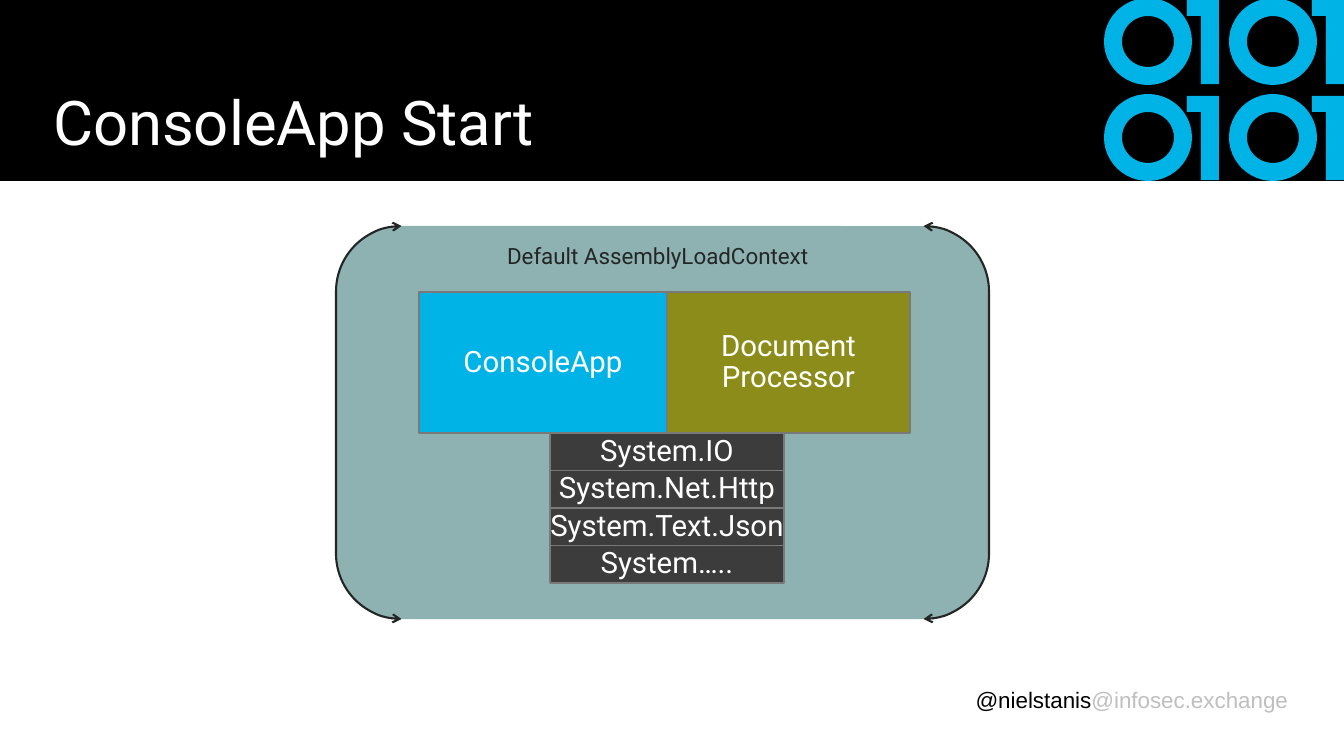
from lxml import etree
from pptx import Presentation
from pptx.dml.color import RGBColor
from pptx.enum.shapes import MSO_SHAPE as Preset
from pptx.enum.text import MSO_ANCHOR as Anchor, PP_ALIGN as Align
from pptx.oxml.ns import qn
from pptx.util import Pt

PX = 12192000 / 1344  # EMU per px
SLIDE_SIZE = (1344, 756)

COLORS = {
    "black": "000000", "white": "FFFFFF", "ink": "242626", "muted": "BFBFBF",
    "cyan": "00B3E6", "teal": "8EB2B2", "olive": "8B8C1A",
    "charcoal": "3C3C3C", "edge": "797979",
}

# Content: runs are (text, font, color); boxes are left, top, width, height
TITLE = [("ConsoleApp Start", "Roboto", "white")]
CONTEXT_LABEL = [("Default AssemblyLoadContext", "Roboto", "ink")]
HANDLE = [("@nielstanis", "Arial", "black"),
          ("@infosec.exchange", "Arial", "muted")]
ASSEMBLIES = [("ConsoleApp", "cyan", 248), ("Document\nProcessor", "olive", 243)]
LIBRARIES = ["System.IO", "System.Net.Http", "System.Text.Json", "System….."]

HEADER = (0, 0, 1344, 181)
CONTEXT = (336, 226, 653, 393)
ASSEMBLY_LEFT, ASSEMBLY_TOP, ASSEMBLY_HEIGHT = 419, 292, 141
LIBRARY_LEFT, LIBRARY_WIDTH, LIBRARY_HEIGHT = 550, 234, 37.5

# Binary digits in the header
DIGIT_COLUMNS, DIGIT_ROWS = (1104, 1229), (-2, 94)
ZERO_WIDTH, ZERO_HEIGHT, STROKE = 88, 87, 18
ONE_OUTLINE = [(83, 2), (115, 2), (115, 86), (97, 86), (97, 18), (83, 18)]


def emu(*lengths):
    return [round(length * PX) for length in lengths]


def rgb(name):
    return RGBColor.from_string(COLORS[name])


def paint(shape, fill, line=None, width=1):
    shape.shadow.inherit = False
    shape.fill.solid()
    shape.fill.fore_color.rgb = rgb(fill)
    if line:
        shape.line.color.rgb = rgb(line)
        shape.line.width = Pt(width)
    else:
        shape.line.fill.background()
    return shape


def add_preset(preset, box, fill, line=None, width=1):
    shape = slide.shapes.add_shape(preset, *emu(*box))
    return paint(shape, fill, line, width)


def write_text(shape, runs, size, anchor=Anchor.MIDDLE, align=Align.LEFT,
               spacing=0.95, insets=(10, 5, 10, 5), wrap=True):
    frame = shape.text_frame
    frame.word_wrap = wrap
    frame.vertical_anchor = anchor
    (frame.margin_left, frame.margin_top,
     frame.margin_right, frame.margin_bottom) = emu(*insets)
    paragraph = frame.paragraphs[0]
    paragraph.alignment = align
    paragraph.line_spacing = spacing
    for text, font, color in runs:
        for index, part in enumerate(text.split("\n")):
            if index:
                paragraph.add_line_break()
            run = paragraph.add_run()
            run.text = part
            run.font.name = font
            run.font.size = Pt(size)
            run.font.color.rgb = rgb(color)


def add_text(box, runs, size, **text_format):
    write_text(slide.shapes.add_textbox(*emu(*box)), runs, size, **text_format)


def add_block(box, text, fill):
    block = add_preset(Preset.RECTANGLE, box, fill, "edge")
    write_text(block, [(text, "Roboto", "white")], 21, align=Align.CENTER,
               spacing=0.9, insets=(0, 5, 0, 5), wrap=False)


presentation = Presentation()
presentation.slide_width, presentation.slide_height = emu(*SLIDE_SIZE)
slide = presentation.slides.add_slide(presentation.slide_layouts[6])

# Footer
add_text((948, 680, 340, 42), HANDLE, 16, align=Align.RIGHT, insets=(0, 5, 0, 5))

# Header with binary digits
add_preset(Preset.RECTANGLE, HEADER, "black")
for top in DIGIT_ROWS:
    for left in DIGIT_COLUMNS:
        zero = add_preset(Preset.DONUT, (left, top, ZERO_WIDTH, ZERO_HEIGHT), "cyan")
        zero.adjustments[0] = STROKE / ZERO_HEIGHT
        corners = [(left + x, top + y) for x, y in ONE_OUTLINE]
        builder = slide.shapes.build_freeform(*corners[0], scale=PX)
        builder.add_line_segments(corners[1:], close=True)
        paint(builder.convert_to_shape(), "cyan")
add_text((40, 23, 1044, 135), TITLE, 44, anchor=Anchor.BOTTOM, spacing=0.85,
         insets=(13, 7, 13, 0))

# Load context with arrowheads on its brackets
context = add_preset(Preset.DOUBLE_BRACKET, CONTEXT, "teal", "ink", 1.5)
context_line = context.line.fill._xPr
for end in ("a:headEnd", "a:tailEnd"):
    etree.SubElement(context_line, qn(end), type="arrow")

# Assemblies side by side
left = ASSEMBLY_LEFT
for name, fill, width in ASSEMBLIES:
    add_block((left, ASSEMBLY_TOP, width, ASSEMBLY_HEIGHT), name, fill)
    left += width

# Shared libraries stacked below
for row, name in enumerate(LIBRARIES):
    top = ASSEMBLY_TOP + ASSEMBLY_HEIGHT + row * LIBRARY_HEIGHT
    add_block((LIBRARY_LEFT, top, LIBRARY_WIDTH, LIBRARY_HEIGHT), name, "charcoal")

add_text((497, 243, 330, 27), CONTEXT_LABEL, 16)

presentation.save("out.pptx")
